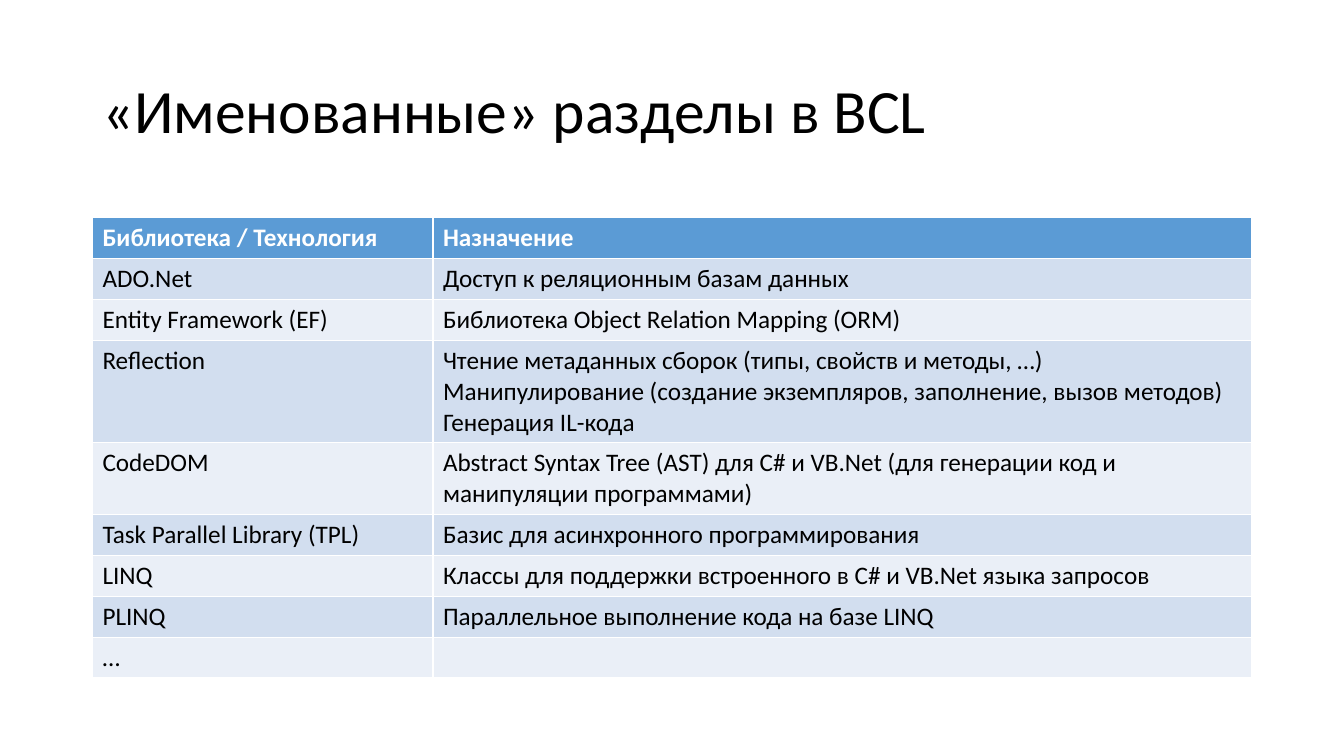
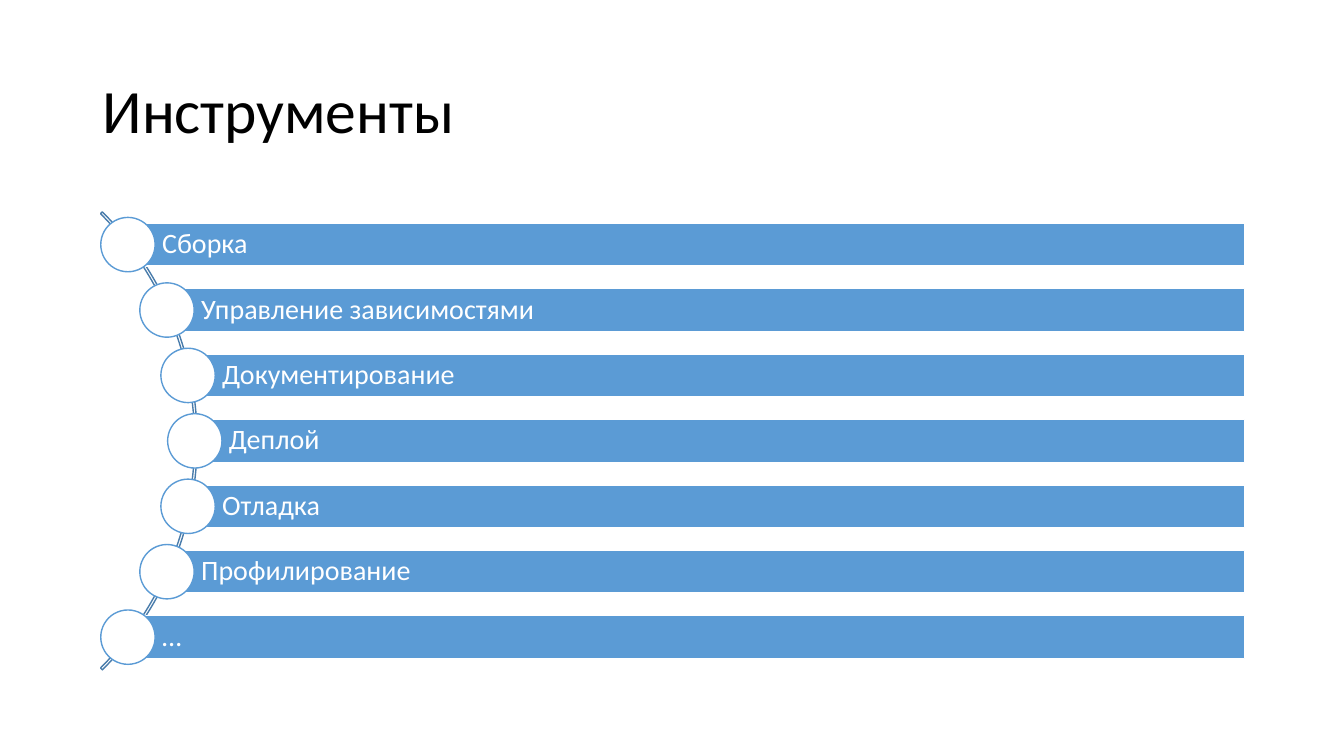
from math import sqrt

from pptx import Presentation
from pptx.dml.color import RGBColor
from pptx.enum.shapes import MSO_SHAPE
from pptx.enum.text import MSO_ANCHOR, PP_ALIGN
from pptx.util import Cm, Pt

RECT, OVAL, ARC = MSO_SHAPE.RECTANGLE, MSO_SHAPE.OVAL, MSO_SHAPE.BLOCK_ARC
MIDDLE, LEFT = MSO_ANCHOR.MIDDLE, PP_ALIGN.LEFT

FONT = "Calibri"
BLACK, WHITE, BLUE = "000000", "FFFFFF", "5B9BD5"
ARC_LINE = "497CAB"
BANDS = ("D2DEEF", "EAEFF7")

TITLE_BOX = (2.33, 1.01, 29.21, 3.68)
TABLE_BOX = (2.33, 5.49, 29.21, 9.27)
TOOLS_BOX = (2.33, 5.34, 29.04, 11.54)

LIBRARIES = [
    ("Библиотека / Технология", "Назначение"),
    ("ADO.Net", "Доступ к реляционным базам данных"),
    ("Entity Framework (EF)", "Библиотека Object Relation Mapping (ORM)"),
    ("Reflection",
     "Чтение метаданных сборок (типы, свойств и методы, …)\n"
     "Манипулирование (создание экземпляров, заполнение, вызов методов)\n"
     "Генерация IL-кода"),
    ("CodeDOM",
     "Abstract Syntax Tree (AST) для C# и VB.Net "
     "(для генерации код и манипуляции программами)"),
    ("Task Parallel Library (TPL)", "Базис для асинхронного программирования"),
    ("LINQ", "Классы для поддержки встроенного в C# и VB.Net языка запросов"),
    ("PLINQ", "Параллельное выполнение кода на базе LINQ"),
    ("…", ""),
]
TOOLS = ["Сборка", "Управление зависимостями", "Документирование", "Деплой",
         "Отладка", "Профилирование", "…"]


def rgb(color):
    """Turn a hex string into a colour."""
    return RGBColor.from_string(color)


def write(tf, text, size, color, bold=False, spacing=None):
    """Put left-aligned text, one paragraph a line, into a text frame."""
    tf.text = text
    for p in tf.paragraphs:
        p.alignment = LEFT
        p.line_spacing = spacing
        p.font.name = FONT
        p.font.size = Pt(size)
        p.font.bold = bold
        p.font.color.rgb = rgb(color)


def add_titled_slide(prs, title):
    """Add a slide with its title in the shared place and style."""
    s = prs.slides.add_slide(prs.slide_layouts[5])
    sp = s.shapes.title
    sp.left, sp.top, sp.width, sp.height = map(Cm, TITLE_BOX)
    sp.text_frame.vertical_anchor = MIDDLE
    write(sp.text_frame, title, 44, BLACK, spacing=0.9)
    return s


def add_shape(s, kind, box, fill, line):
    """Add a flat shape with a thin outline, filled if a fill is given."""
    sp = s.shapes.add_shape(kind, *map(Cm, box))
    sp.shadow.inherit = False
    if fill:
        sp.fill.solid()
        sp.fill.fore_color.rgb = rgb(fill)
    else:
        sp.fill.background()
    sp.line.color.rgb = rgb(line)
    sp.line.width = Pt(1)
    return sp


def add_library_table(s, box, rows):
    """Fill the box with a banded two-column table."""
    table = s.shapes.add_table(len(rows), 2, *map(Cm, box)).table
    name_width = 8.58
    table.columns[0].width = Cm(name_width)
    table.columns[1].width = Cm(box[2] - name_width)
    for i, row in enumerate(rows):
        header = i == 0
        for j, text in enumerate(row):
            cell = table.cell(i, j)
            cell.fill.solid()
            cell.fill.fore_color.rgb = rgb(BLUE if header else BANDS[(i - 1) % 2])
            write(cell.text_frame, text, 18, WHITE if header else BLACK, header)


def add_tool_bar(s, x, y, right, text):
    """Add a labelled bar that starts at the centre of its circle."""
    height, dot = 1.08, 1.37
    sp = add_shape(s, RECT, (x, y - height / 2, right - x, height), BLUE, WHITE)
    tf = sp.text_frame
    tf.word_wrap = True
    tf.vertical_anchor = MIDDLE
    tf.margin_left = Cm(0.86)
    tf.margin_top = tf.margin_right = tf.margin_bottom = Cm(0.15)
    write(tf, text, 20, WHITE, spacing=0.9)
    add_shape(s, OVAL, (x - dot / 2, y - dot / 2, dot, dot), WHITE, BLUE)


def add_tool_list(s, box, tools):
    """Lay out bars at an equal pitch along a quarter-circle arc."""
    left, top, width, height = box
    radius = height / sqrt(2)
    cx, cy = left - 5.52, top + height / 2
    arc = add_shape(s, ARC, (cx - radius, cy - radius, 2 * radius, 2 * radius),
                    None, ARC_LINE)
    for i, value in enumerate((189, 27, 0.004)):
        arc.adjustments[i] = value
    pitch = height / len(tools)
    track = radius - 0.06
    for i, text in enumerate(tools):
        dy = (i - (len(tools) - 1) / 2) * pitch
        x = cx + sqrt(track ** 2 - dy ** 2)
        add_tool_bar(s, x, cy + dy, left + width, text)


def main():
    """Build both slides and save the file."""
    prs = Presentation()
    prs.slide_width, prs.slide_height = Cm(33.87), Cm(19.05)
    s = add_titled_slide(prs, "«Именованные» разделы в BCL")
    add_library_table(s, TABLE_BOX, LIBRARIES)
    s = add_titled_slide(prs, "Инструменты")
    add_tool_list(s, TOOLS_BOX, TOOLS)
    prs.save("out.pptx")


if __name__ == "__main__":
    main()
